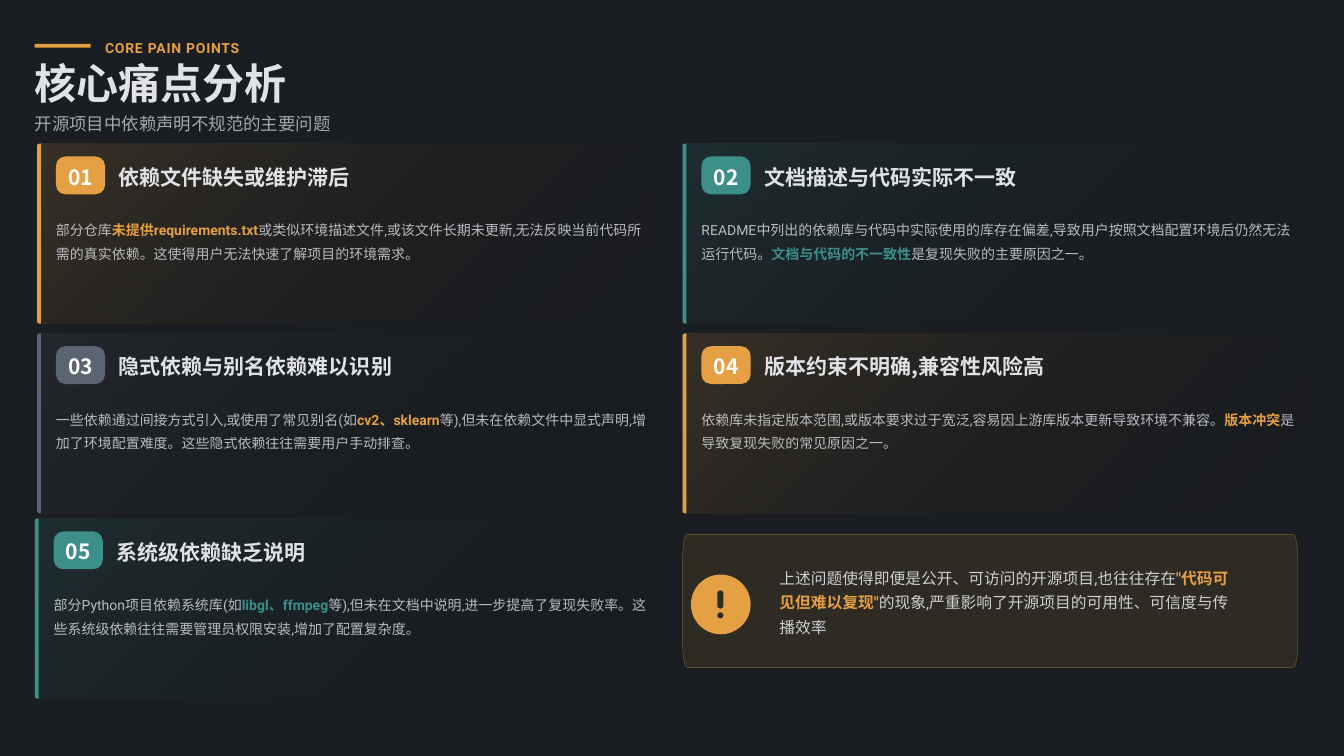
from math import cos, pi, sin

from pptx import Presentation
from pptx.dml.color import RGBColor
from pptx.enum.lang import MSO_LANGUAGE_ID
from pptx.enum.shapes import MSO_SHAPE
from pptx.enum.text import MSO_ANCHOR, PP_ALIGN
from pptx.oxml.ns import qn
from pptx.util import Inches, Pt

DARK = RGBColor(0x1A, 0x1D, 0x21)
AMBER = RGBColor(0xE5, 0xA0, 0x44)
TEAL = RGBColor(0x3D, 0x8F, 0x8A)
SLATE = RGBColor(0x5A, 0x64, 0x72)
LIGHT = RGBColor(0xE0, 0xE2, 0xE6)
WHITE = RGBColor(0xFF, 0xFF, 0xFF)
BLACK = RGBColor(0, 0, 0)
MARK = RGBColor(0x2E, 0x2A, 0x24)
SANS, CJK = "Roboto", "Noto Sans CJK SC"

# Each card: left, top, accent, key colour, title, (before, key words, after)
CARDS = [
    (0.49, 1.9, AMBER, AMBER, "依赖文件缺失或维护滞后",
     ("部分仓库", "未提供requirements.txt",
      "或类似环境描述文件,或该文件长期未更新,无法反映当前代码所需的真实依赖。"
      "这使得用户无法快速了解项目的环境需求。")),
    (9.03, 1.9, TEAL, TEAL, "文档描述与代码实际不一致",
     ("README中列出的依赖库与代码中实际使用的库存在偏差,"
      "导致用户按照文档配置环境后仍然无法运行代码。",
      "文档与代码的不一致性", "是复现失败的主要原因之一。")),
    (0.49, 4.41, SLATE, AMBER, "隐式依赖与别名依赖难以识别",
     ("一些依赖通过间接方式引入,或使用了常见别名(如", "cv2、sklearn",
      "等),但未在依赖文件中显式声明,增加了环境配置难度。"
      "这些隐式依赖往往需要用户手动排查。")),
    (9.03, 4.41, AMBER, AMBER, "版本约束不明确,兼容性风险高",
     ("依赖库未指定版本范围,或版本要求过于宽泛,"
      "容易因上游库版本更新导致环境不兼容。",
      "版本冲突", "是导致复现失败的常见原因之一。")),
    (0.46, 6.86, TEAL, TEAL, "系统级依赖缺乏说明",
     ("部分Python项目依赖系统库(如", "libgl、ffmpeg",
      "等),但未在文档中说明,进一步提高了复现失败率。"
      "这些系统级依赖往往需要管理员权限安装,增加了配置复杂度。")),
]
IMPACT = ("上述问题使得即便是公开、可访问的开源项目,也往往存在",
          "\"代码可见但难以复现\"",
          "的现象,严重影响了开源项目的可用性、可信度与传播效率")


def fade(node, *alphas):
    """Set the opacity, in percent, of the colours inside node."""
    for color, alpha in zip(list(node.iter(qn("a:srgbClr"))), alphas):
        mark = color.makeelement(qn("a:alpha"), {"val": str(alpha * 1000)})
        color.append(mark)


def paint(shape, color):
    shape.shadow.inherit = False
    shape.fill.solid()
    shape.fill.fore_color.rgb = color
    shape.line.fill.background()
    return shape


def block(shapes, kind, color, x, y, w, h):
    return paint(shapes.add_shape(
        kind, Inches(x), Inches(y), Inches(w), Inches(h)), color)


def panel(shapes, color, x, y, w, h, left, right):
    """Draw a box whose left and right corners have own (rx, ry) radii."""
    corners = [(x + w, y, right, -90), (x + w, y + h, right, 0),
               (x, y + h, left, 90), (x, y, left, 180)]
    points = []
    for px, py, (rx, ry), start in corners:
        cx = px + (rx if px == x else -rx)
        cy = py + (ry if py == y else -ry)
        for step in range(9):
            turn = (start + step * 90 / 8) * pi / 180
            points.append((Inches(cx + rx * cos(turn)),
                           Inches(cy + ry * sin(turn))))
    pen = shapes.build_freeform(*points[0])
    pen.add_line_segments(points[1:], close=True)
    return paint(pen.convert_to_shape(), color)


def write(frame, parts, size, font, spacing):
    """Fill a frame with (text, colour, bold, opacity) parts."""
    frame.word_wrap = True
    frame.vertical_anchor = MSO_ANCHOR.MIDDLE
    frame.margin_left = frame.margin_right = 0
    frame.margin_top = frame.margin_bottom = 0
    para = frame.paragraphs[0]
    para.line_spacing = spacing
    for text, color, bold, alpha in parts:
        run = para.add_run()
        run.text = text
        run.font.size = Pt(size)
        run.font.name = font
        run.font.bold = bold
        run.font.color.rgb = color
        run.font.language_id = MSO_LANGUAGE_ID.SIMPLIFIED_CHINESE
        props = run.font._element
        east = props.makeelement(qn("a:ea"), {"typeface": CJK})
        props.find(qn("a:latin")).addnext(east)
        if alpha < 100:
            fade(props, alpha)
    return para


def label(shapes, x, y, w, h, *style):
    box = shapes.add_textbox(Inches(x), Inches(y), Inches(w), Inches(h))
    return write(box.text_frame, *style)


def stress(texts, color, alpha):
    before, key, after = texts
    return [(before, LIGHT, False, alpha), (key, color, True, 100),
            (after, LIGHT, False, alpha)]


def head(shapes):
    block(shapes, MSO_SHAPE.RECTANGLE, AMBER, 0.46, 0.58, 0.74, 0.05)
    tag = label(shapes, 1.39, 0.46, 1.92, 0.28,
                [("CORE PAIN POINTS", AMBER, True, 100)], 13.3, SANS, 1.3)
    tag.runs[0].font._element.set("spc", "70")
    label(shapes, 0.46, 0.88, 17.13, 0.56,
          [("核心痛点分析", LIGHT, True, 100)], 40, CJK, 0.8)
    label(shapes, 0.46, 1.44, 16.97, 0.32,
          [("开源项目中依赖声明不规范的主要问题", LIGHT, False, 70)],
          16.6, SANS, 1.2)


def card(shapes, num, x, y, accent, key, title, body):
    edge = (0.04, 0.03)
    back = panel(shapes, accent, x, y, 8.29, 2.38, edge, (0.14, 0.1))
    back.fill.gradient()
    back.fill.gradient_angle = 315
    for stop, color in zip(back.fill.gradient_stops, (accent, BLACK)):
        stop.color.rgb = color
    fade(back._element.spPr, 15, 0)
    panel(shapes, accent, x, y, 0.05, 2.38, edge, (0, 0))
    badge = block(shapes, MSO_SHAPE.ROUNDED_RECTANGLE, accent,
                  x + 0.25, y + 0.17, 0.65, 0.5)
    badge.adjustments[0] = 0.25
    para = write(badge.text_frame, [(f"{num:02}", WHITE, True, 100)],
                 20, CJK, 1.1)
    para.alignment = PP_ALIGN.CENTER
    label(shapes, x + 1.08, y + 0.28, len(title) * 0.29, 0.28,
          [(title, LIGHT, True, 100)], 20, CJK, 1.1)
    label(shapes, x + 0.25, y + 0.81, 7.89, 0.89,
          stress(body, key, 80), 13.3, SANS, 1.4)


def callout(shapes):
    curve = (0.06, 0.35)
    back = panel(shapes, AMBER, 9.03, 7.07, 8.14, 1.76, curve, curve)
    back.line.color.rgb = AMBER
    back.line.width = Pt(0.67)
    fade(back._element.spPr, 10, 30)
    block(shapes, MSO_SHAPE.OVAL, AMBER, 9.14, 7.6, 0.79, 0.79)
    stem = block(shapes, MSO_SHAPE.ROUNDED_RECTANGLE, MARK,
                 9.49, 7.81, 0.08, 0.24)
    stem.adjustments[0] = 0.5
    block(shapes, MSO_SHAPE.OVAL, MARK, 9.49, 8.1, 0.08, 0.08)
    label(shapes, 10.31, 7.53, 6.11, 0.81,
          stress(IMPACT, AMBER, 90), 15, SANS, 1.3)


def main():
    deck = Presentation()
    deck.slide_width, deck.slide_height = Inches(17.78), Inches(10)
    slide = deck.slides.add_slide(deck.slide_layouts[6])
    slide.background.fill.solid()
    slide.background.fill.fore_color.rgb = DARK
    head(slide.shapes)
    for num, item in enumerate(CARDS, 1):
        card(slide.shapes.add_group_shape().shapes, num, *item)
    callout(slide.shapes.add_group_shape().shapes)
    deck.save("out.pptx")


if __name__ == "__main__":
    main()
